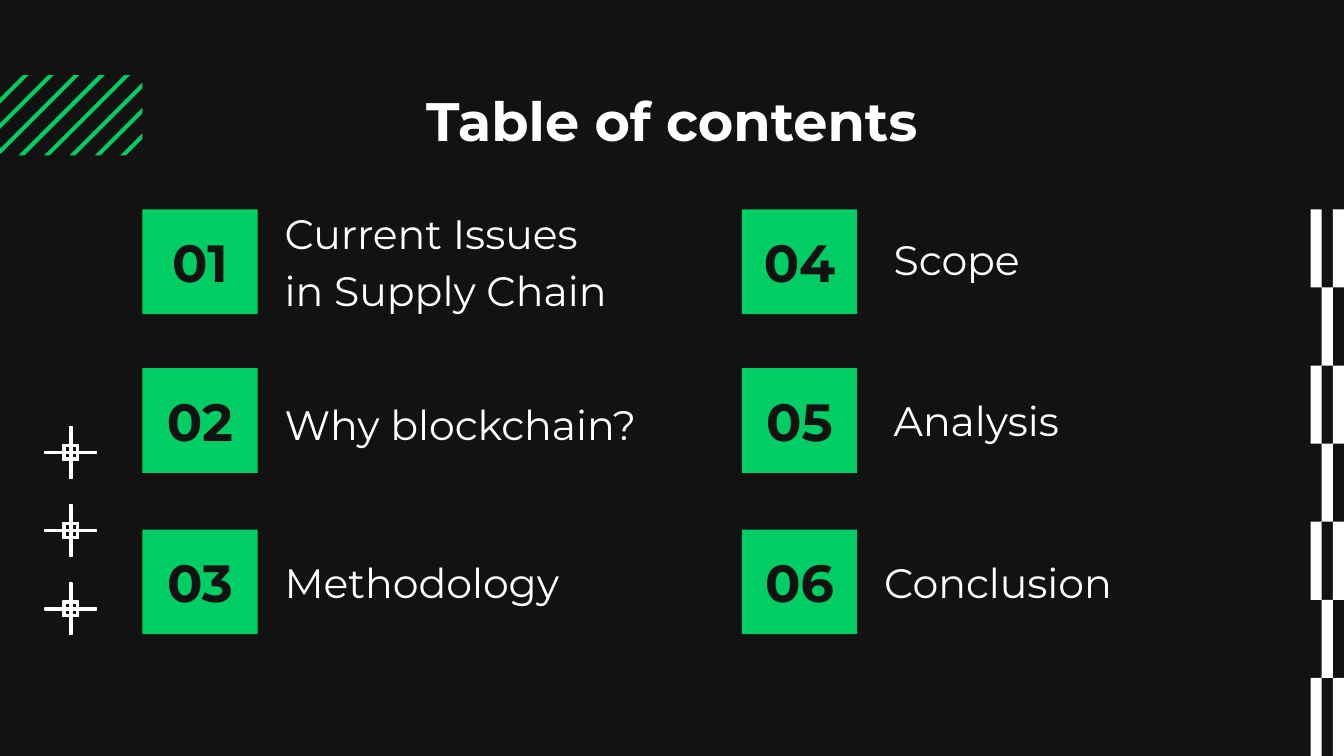
import pptx
import pptx.dml.color
import pptx.enum.shapes
import pptx.enum.text
import pptx.util

Cm = pptx.util.Cm
ALIGN = pptx.enum.text.PP_ALIGN
ANCHOR = pptx.enum.text.MSO_ANCHOR

WIDTH, HEIGHT = 25.4, 14.29
DARK, GREEN, WHITE = "121212", "00CD64", "FFFFFF"


def color(value):
    return pptx.dml.color.RGBColor.from_string(value)


def box_points(x, y, w, h):
    return [(x, y), (x, y + h), (x + w, y + h), (x + w, y)]


class Deck:
    font = "Montserrat"

    def __init__(self):
        self.prs = pptx.Presentation()
        self.prs.slide_width, self.prs.slide_height = Cm(WIDTH), Cm(HEIGHT)
        self.s = self.prs.slides.add_slide(self.prs.slide_layouts[6])
        fill = self.s.background.fill
        fill.solid()
        fill.fore_color.rgb = color(DARK)

    def paint(self, sp, fill, line_width=0):
        sp.shadow.inherit = False
        sp.fill.solid()
        sp.fill.fore_color.rgb = color(fill)
        if line_width:
            sp.line.color.rgb = color(fill)
            sp.line.width = pptx.util.Pt(line_width)
        else:
            sp.line.fill.background()

    def set_text(self, sp, text, size, ink, bold=False, align=ALIGN.LEFT,
                 anchor=ANCHOR.TOP, spacing=1.0):
        tf = sp.text_frame
        tf.word_wrap = True
        tf.vertical_anchor = anchor
        tf.margin_left = tf.margin_right = Cm(0.25)
        tf.margin_top = tf.margin_bottom = Cm(0.25)
        p = tf.paragraphs[0]
        p.text = text
        p.alignment = align
        p.line_spacing = spacing
        p.font.name = self.font
        p.font.size = pptx.util.Pt(size)
        p.font.bold = bold
        p.font.color.rgb = color(ink)

    def text(self, x, y, w, h, text, size, **style):
        sp = self.s.shapes.add_textbox(Cm(x), Cm(y), Cm(w), Cm(h))
        self.set_text(sp, text, size, WHITE, **style)

    def tile(self, x, y, w, h, text):
        sp = self.s.shapes.add_shape(
            pptx.enum.shapes.MSO_SHAPE.RECTANGLE, Cm(x), Cm(y), Cm(w), Cm(h))
        self.paint(sp, GREEN)
        self.set_text(sp, text, 28, DARK, bold=True, align=ALIGN.CENTER,
                      anchor=ANCHOR.MIDDLE)

    def outline(self, contours, fill, line_width=0):
        """Draw closed contours, each a list of points in cm, as one shape."""
        contours = [[(Cm(x), Cm(y)) for x, y in c] for c in contours]
        builder = self.s.shapes.build_freeform(*contours[0][0])
        for i, points in enumerate(contours):
            if i:
                builder.move_to(*points[0])
            builder.add_line_segments(points[1:], close=True)
        self.paint(builder.convert_to_shape(), fill, line_width)


def checker(x, y, columns, rows):
    w, h = (WIDTH - x) / columns, (HEIGHT - y) / rows
    return [box_points(x + c * w, y + r * h, w, h)
            for r in range(rows) for c in range(columns) if (r + c) % 2 == 0]


def cross(cx, cy):
    """A cross with a four-pane window at its centre, built by quarter turns."""
    half, pane, box, arm = 0.02, 0.11, 0.15, 0.49
    arm_points = [(-half, -arm), (half, -arm), (half, -box), (box, -box),
                  (box, -half)]
    hole = [(half, -half), (pane, -half), (pane, -pane), (half, -pane)]
    edge, holes = [], []
    for _ in range(4):
        edge += arm_points
        holes.append(hole)
        arm_points = [(-y, x) for x, y in arm_points]
        hole = [(-y, x) for x, y in hole]
    return [[(cx + x, cy + y) for x, y in c] for c in [edge, *holes]]


def stripes(y, w, h, count):
    """Diagonal stripes cut off at the edges of a w by h area."""
    first, step, thick = 0.43, 0.48, 0.11
    contours = []
    for i in range(count):
        near = first + i * step
        far = near + thick
        top, top_far = min(near, w), min(far, w)
        low, low_far = max(near - h, 0), max(far - h, 0)
        contours.append([(top, y + near - top), (low, y + near - low),
                         (low_far, y + far - low_far),
                         (top_far, y + far - top_far)])
    return contours


def main():
    deck = Deck()
    deck.outline(checker(24.77, 3.96, 3, 7), WHITE)
    crosses = [c for i in range(3) for c in cross(1.34, 8.55 + i * 1.48)]
    deck.outline(crosses, WHITE, 0.75)
    deck.text(1.98, 1.4, 21.44, 1.75, "Table of contents", 29, bold=True,
              align=ALIGN.CENTER)

    tile_columns, tile_rows = (2.69, 14.02), (3.96, 6.96, 10.01)
    items = [
        ("Current Issues in Supply Chain", 5.13, 4.75, 6.78),
        ("Why blockchain?", 5.13, 7.29, 7.57),
        ("Methodology", 5.13, 10.26, 6.78),
        ("Scope", 16.64, 4.17, 6.78),
        ("Analysis", 16.64, 7.21, 6.78),
        ("Conclusion", 16.46, 10.26, 6.78),
    ]
    for i, (label, x, y, w) in enumerate(items):
        column, row = divmod(i, 3)
        deck.tile(tile_columns[column], tile_rows[row], 2.18, 1.98,
                  f"{i + 1:02}")
        deck.text(x, y, w, 1.45, label, 22, anchor=ANCHOR.BOTTOM,
                  spacing=1.15)

    deck.outline(stripes(1.42, 2.69, 1.52, 8), GREEN)
    deck.prs.save("out.pptx")


if __name__ == "__main__":
    main()
